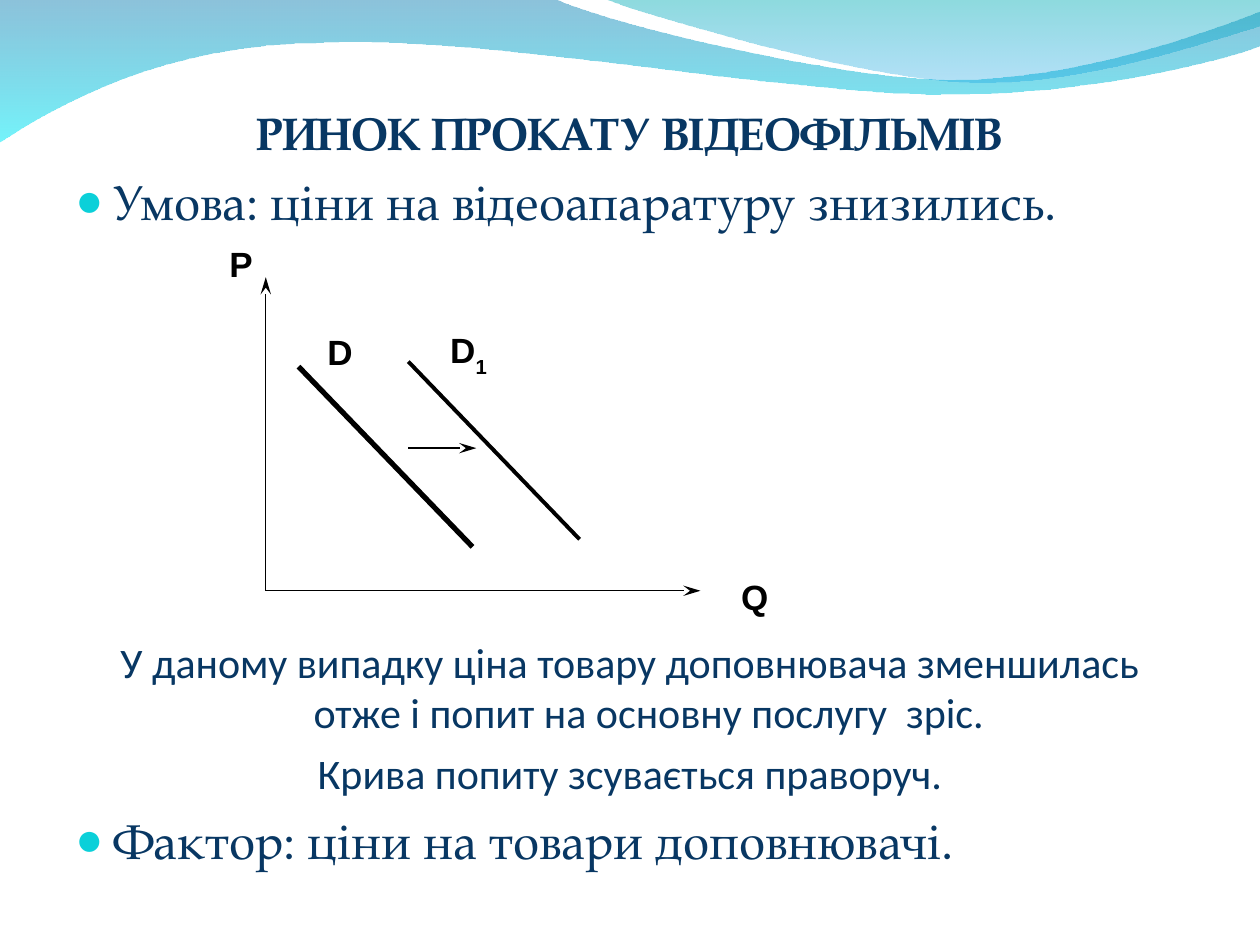
import dataclasses
import typing

import pptx
import pptx.dml.color
import pptx.enum.shapes
import pptx.enum.text
import pptx.oxml
import pptx.oxml.ns
import pptx.util

Pt = pptx.util.Pt
RGBColor = pptx.dml.color.RGBColor
Align = pptx.enum.text.PP_ALIGN
Point = tuple[float, float]

NAVY = RGBColor(0x08, 0x37, 0x63)
BLACK = RGBColor(0, 0, 0)
BULLET = RGBColor(0x0B, 0xD0, 0xD9)
DEEP_BLUE = RGBColor(0x00, 0x79, 0xAF)
CYAN = RGBColor(0x00, 0xEB, 0xF8)
TEAL = RGBColor(0x00, 0xAD, 0xB6)
SKY = RGBColor(0x00, 0x9B, 0xE5)
SERIF = "TeX Gyre Pagella"
INDENT = Pt(21.6)


@dataclasses.dataclass
class Wave:
    start: Point
    segments: list[tuple[Point, ...]]
    stops: list[tuple[RGBColor, int]]


@dataclasses.dataclass
class Statement:
    text: str
    size: float
    before: float
    font: str = SERIF
    bold: bool = False
    bullet: bool = False


@dataclasses.dataclass
class Stroke:
    start: Point
    end: Point
    width: float
    arrow: bool = False


@dataclasses.dataclass
class Label:
    text: str
    left: float
    top: float
    width: float
    height: float
    subscript: str = ""


WAVES = [
    Wave((0, -0.7), [
        ((316.8, -0.7),),
        ((342.7, 12.2), (478.1, 45.4), (545.8, 45.4)),
        ((614.2, 45.4), (689.8, 18.7), (720, 6.5)),
        ((720.7, 25.9),),
        ((707.8, 31.7), (626.4, 54.7), (537.1, 54)),
        ((447.8, 54), (275, 20.2), (185, 24.5)),
        ((92.9, 25.2), (33.1, 59.8), (-0.7, 81.4)),
        ((0, -0.7),),
    ], [(DEEP_BLUE, 45), (CYAN, 55)]),
    Wave((344.9, -0.7), [
        ((366.5, 7.9), (491, 44.6), (553.7, 46.8)),
        ((616.3, 49.7), (691.9, 23), (720, 15.1)),
        ((720, 0),),
        ((344.9, -0.7),),
    ], [(TEAL, 45), (SKY, 30)]),
]
STATEMENTS = [
    Statement("РИНОК ПРОКАТУ ВІДЕОФІЛЬМІВ", 26, 6.5, bold=True),
    Statement("Умова: ціни на відеоапаратуру знизились.", 28, 7, bullet=True),
    Statement("У даному випадку ціна товару доповнювача зменшилась "
              "отже і попит на основну послугу  зріс.", 24, 232, "Calibri"),
    Statement("Крива попиту зсувається праворуч.", 24, 6, "Calibri"),
    Statement("Фактор: ціни на товари доповнювачі.", 28, 7, bullet=True),
]
ORIGIN = (151.9, 337.6)
STROKES = [
    Stroke(ORIGIN, (151.9, 158.4), 0.75, True),
    Stroke((233.3, 206.6), (331.2, 308.2), 2.25),
    Stroke((170.6, 209.5), (270, 312.5), 3),
    Stroke(ORIGIN, (400.3, 337.6), 0.75, True),
    Stroke((233.3, 256.1), (272.2, 256.1), 0.75, True),
]
LABELS = [
    Label("D", 164.9, 185.3, 58.8, 31.7),
    Label("Q", 406.8, 325.4, 49, 40.3),
    Label("D", 243.2, 184.3, 49, 31.7, "1"),
    Label("Р", 118.3, 135.1, 38.9, 40.3),
]


def apply(target: typing.Any, values: dict[str, typing.Any]) -> None:
    for name, value in values.items():
        setattr(target, name, value)


def add_element(parent: typing.Any, tag: str, **attributes: str) -> typing.Any:
    element = pptx.oxml.parse_xml(f"<{tag} {pptx.oxml.ns.nsdecls('a')}/>")
    for name, value in attributes.items():
        element.set(name, value)
    parent.append(element)
    return element


def to_emu(point: Point) -> tuple[int, int]:
    return Pt(point[0]), Pt(point[1])


def bend_segments(shape: typing.Any, segments: list[tuple[Point, ...]]) -> None:
    lines = iter(list(shape._element.spPr.iter(pptx.oxml.ns.qn("a:lnTo"))))
    for segment in segments:
        group = [next(lines) for point in segment]
        if len(group) == 3:
            curve = add_element(group[0].getparent(), "a:cubicBezTo")
            group[0].addprevious(curve)
            for line in group:
                curve.append(line[0])
                line.getparent().remove(line)


def draw_wave(page: typing.Any, wave: Wave) -> None:
    points = [to_emu(point) for segment in wave.segments for point in segment]
    builder = page.shapes.build_freeform(*to_emu(wave.start))
    builder.add_line_segments(points, close=True)
    shape = builder.convert_to_shape()
    bend_segments(shape, wave.segments)
    shape.shadow.inherit = False
    shape.line.fill.background()
    shape.fill.gradient()
    shape.fill.gradient_angle = 270
    for stop, (color, opacity) in zip(shape.fill.gradient_stops, wave.stops):
        stop.color.rgb = color
    colors = shape._element.spPr.iter(pptx.oxml.ns.qn("a:srgbClr"))
    for element, (color, opacity) in zip(list(colors), wave.stops):
        add_element(element, "a:alpha", val=str(opacity * 1000))


def add_span(para: typing.Any, text: str, color: RGBColor, style: dict[str, typing.Any]) -> typing.Any:
    span = para.add_run()
    span.text = text
    apply(span.font, style)
    span.font.color.rgb = color
    return span


def draw_statements(page: typing.Any, statements: list[Statement]) -> None:
    box = page.shapes.add_textbox(Pt(36), Pt(56.2), Pt(648), Pt(450))
    frame = box.text_frame
    frame.word_wrap = True
    for index, item in enumerate(statements):
        para = frame.add_paragraph() if index else frame.paragraphs[0]
        apply(para, {"alignment": Align.LEFT if item.bullet else Align.CENTER,
                     "space_before": Pt(item.before)})
        properties = para._p.get_or_add_pPr()
        properties.set("marL", str(INDENT))
        properties.set("indent", str(-INDENT))
        if item.bullet:
            add_element(add_element(properties, "a:buClr"), "a:srgbClr", val=str(BULLET))
            add_element(properties, "a:buSzPct", val="95000")
            add_element(properties, "a:buFont", typeface="Arial")
            add_element(properties, "a:buChar", char="●")
        add_span(para, item.text, NAVY,
                 {"name": item.font, "size": Pt(item.size), "bold": item.bold})


def draw_stroke(page: typing.Any, stroke: Stroke) -> None:
    connector = page.shapes.add_connector(
        pptx.enum.shapes.MSO_CONNECTOR.STRAIGHT, *to_emu(stroke.start), *to_emu(stroke.end))
    connector.line.color.rgb = BLACK
    connector.line.width = Pt(stroke.width)
    if stroke.arrow:
        add_element(connector.line._get_or_add_ln(), "a:tailEnd", type="stealth", w="med", len="lg")
    add_element(connector._element.spPr, "a:effectLst")


def draw_label(page: typing.Any, label: Label) -> None:
    box = page.shapes.add_textbox(*(Pt(v) for v in (label.left, label.top, label.width, label.height)))
    box.text_frame.word_wrap = True
    para = box.text_frame.paragraphs[0]
    para.alignment = Align.CENTER
    style = {"name": "Arial", "size": Pt(20), "bold": True}
    add_span(para, label.text, BLACK, style)
    if label.subscript:
        span = add_span(para, label.subscript, BLACK, style)
        span._r.get_or_add_rPr().set("baseline", "-30000")


def main() -> None:
    deck = pptx.Presentation()
    apply(deck, {"slide_width": Pt(720), "slide_height": Pt(540)})
    page = deck.slides.add_slide(deck.slide_layouts[6])
    for wave in WAVES:
        draw_wave(page, wave)
    draw_statements(page, STATEMENTS)
    for stroke in STROKES:
        draw_stroke(page, stroke)
    for label in LABELS:
        draw_label(page, label)
    deck.save("out.pptx")


if __name__ == "__main__":
    main()
